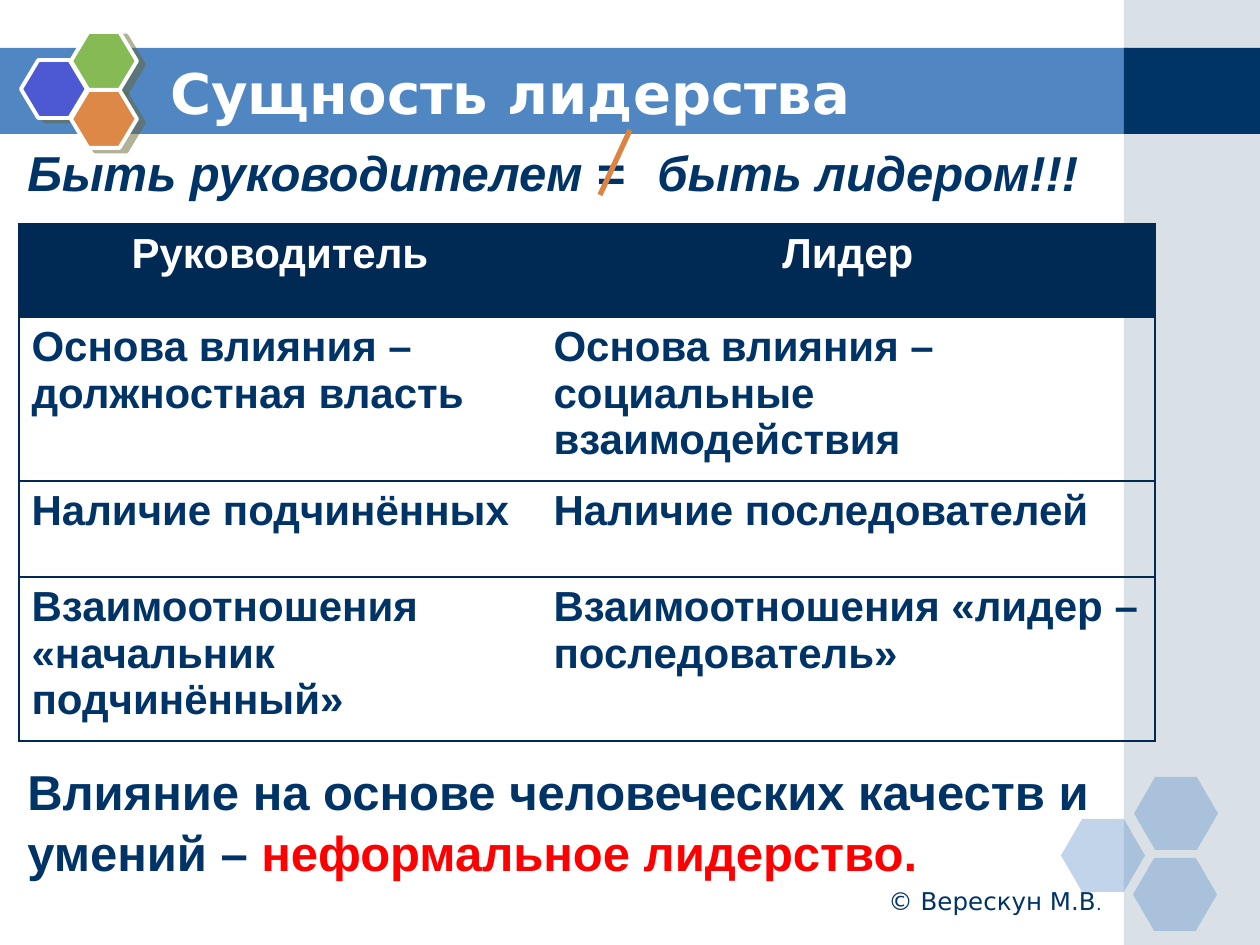
from lxml import etree
from pptx import Presentation
from pptx.dml.color import RGBColor
from pptx.enum.shapes import MSO_CONNECTOR, MSO_SHAPE
from pptx.enum.text import MSO_ANCHOR, PP_ALIGN
from pptx.oxml.ns import qn
from pptx.util import Pt

RECT, HEXAGON = MSO_SHAPE.RECTANGLE, MSO_SHAPE.HEXAGON
LINE = MSO_CONNECTOR.STRAIGHT
MIDDLE, TOP = MSO_ANCHOR.MIDDLE, MSO_ANCHOR.TOP
LEFT, CENTER, RIGHT = PP_ALIGN.LEFT, PP_ALIGN.CENTER, PP_ALIGN.RIGHT

COLORS = {
    "white": "FFFFFF", "navy": "003366", "head": "002954", "band": "5086C2",
    "side": "A0B5C4", "indigo": "4C59D2", "green": "85BA54",
    "orange": "DE8848", "slash": "DD8443", "shade": "666633", "red": "FF0000",
}
SANS, TITLE = "Arial", "DejaVu Sans"
ROWS = [
    ("Руководитель", "Лидер"),
    ("Основа влияния – должностная власть",
     "Основа влияния – социальные взаимодействия"),
    ("Наличие подчинённых", "Наличие последователей"),
    ("Взаимоотношения «начальник подчинённый»",
     "Взаимоотношения «лидер – последователь»"),
]


def px(n):
    return round(n * 914400 / 126)


def rgb(name):
    return RGBColor.from_string(COLORS[name])


def node(parent, tag, **attrs):
    return etree.SubElement(parent, qn(tag), {k: str(v) for k, v in attrs.items()})


def add_shape(slide, kind, box, color, alpha=None):
    shape = slide.shapes.add_shape(kind, *map(px, box))
    shape.shadow.inherit = False
    shape.fill.solid()
    shape.fill.fore_color.rgb = rgb(color)
    shape.line.fill.background()
    if alpha:
        clr = shape._element.spPr.find(qn("a:solidFill"))[0]
        node(clr, "a:alpha", val=alpha * 1000)
    return shape


def style(run, size, color, font=SANS, bold=True, italic=False):
    run.font.size = Pt(size)
    run.font.name = font
    run.font.bold = bold
    run.font.italic = italic
    run.font.color.rgb = rgb(color)


def add_text(slide, box, text, size, color, anchor=TOP, align=LEFT, **look):
    frame = slide.shapes.add_textbox(*map(px, box)).text_frame
    frame.word_wrap = True
    frame.vertical_anchor = anchor
    frame.text = text
    para = frame.paragraphs[0]
    para.alignment = align
    style(para.runs[0], size, color, **look)
    return para


def draw_back(slide, box):
    x, y, w, h = box
    # Title band and side strip
    add_shape(slide, RECT, (x, y + 48, w - 132, 86), "band")
    add_shape(slide, RECT, (x + w - 136, y, 136, h), "side", 40)
    add_shape(slide, RECT, (x + w - 136, y + 48, 136, 86), "navy")
    # Pale hexagons in the corner
    for dx, dy in ((1061, 819), (1134, 777), (1133, 858)):
        cell = add_shape(slide, HEXAGON, (x + dx, y + dy, 84, 73), "band", 35)
        cell.adjustments[0] = 0.29


def draw_badge(slide, box):
    x, y, w, h = box
    for dx, dy, color in ((0, 28, "indigo"), (50, 0, "green"), (50, 58, "orange")):
        cell = add_shape(slide, HEXAGON, (x + dx, y + dy, w - 50, h - 58), color)
        cell.adjustments[0] = 0.3
        cell.line.color.rgb = rgb("white")
        cell.line.width = Pt(2.25)
        # Hard shadow to the lower right
        fx = cell._element.spPr.find(qn("a:effectLst"))
        drop = node(fx, "a:outerShdw", blurRad=0, dist=Pt(4.5),
                    dir=27 * 60000, algn="ctr", rotWithShape=0)
        clr = node(drop, "a:srgbClr", val=COLORS["shade"])
        node(clr, "a:alpha", val=50000)


def draw_motto(slide, box):
    x, y, w, h = box
    add_text(slide, box, "Быть руководителем =\tбыть лидером!!!", 28, "navy",
             italic=True)
    # Stroke through the equals sign
    slash = slide.shapes.add_connector(
        LINE, px(x + 615), px(y - 6), px(x + 585), px(y + 59))
    slash.line.color.rgb = rgb("slash")
    slash.line.width = Pt(3)
    node(slash._element.spPr, "a:effectLst")


def set_edge(cell, side, color):
    props = cell._tc.get_or_add_tcPr()
    edge = node(props, "a:" + side, w=Pt(0.75))
    if color:
        node(node(edge, "a:solidFill"), "a:srgbClr", val=COLORS[color])
    else:
        node(edge, "a:noFill")


def draw_table(slide, box):
    table = slide.shapes.add_table(len(ROWS), 2, *map(px, box)).table
    table.first_row = table.horz_banding = False
    for col, width in zip(table.columns, (522, box[2] - 522)):
        col.width = px(width)
    for row, height in zip(table.rows, (93, 164, 96, 164)):
        row.height = px(height)
    for r, texts in enumerate(ROWS):
        for c, text in enumerate(texts):
            cell = table.cell(r, c)
            cell.text = text
            para = cell.text_frame.paragraphs[0]
            para.alignment = LEFT if r else CENTER
            style(para.runs[0], 24, "navy" if r else "white")
            # Outer frame and row rules, no rule between columns
            set_edge(cell, "lnL", None if c else "head")
            set_edge(cell, "lnR", "head" if c else None)
            set_edge(cell, "lnT", "head")
            set_edge(cell, "lnB", "head")
            if r:
                cell.fill.background()
            else:
                cell.fill.solid()
                cell.fill.fore_color.rgb = rgb("head")


def draw_close(slide, box):
    para = add_text(slide, box, "Влияние на основе человеческих качеств и умений – ",
                    28, "navy")
    para.line_spacing = 1.05
    key = para.add_run()
    key.text = "неформальное лидерство."
    style(key, 28, "red")


def draw_credit(slide, box):
    para = add_text(slide, box, "© Верескун М.В", 14, "navy", align=RIGHT,
                    font=TITLE, bold=False)
    dot = para.add_run()
    dot.text = "."
    style(dot, 10, "navy", TITLE, False)


def main():
    prs = Presentation()
    prs.slide_width, prs.slide_height = px(1260), px(945)
    slide = prs.slides.add_slide(prs.slide_layouts[6])
    draw_back(slide, (0, 0, 1260, 945))
    draw_badge(slide, (21, 32, 116, 116))
    add_text(slide, (158, 53, 924, 78), "Сущность лидерства", 32, "white",
             anchor=MIDDLE, font=TITLE)
    draw_motto(slide, (15, 136, 1160, 70))
    draw_table(slide, (19, 224, 1136, 517))
    draw_close(slide, (15, 752, 1160, 128))
    draw_credit(slide, (714, 880, 400, 45))
    prs.save("out.pptx")


if __name__ == "__main__":
    main()
